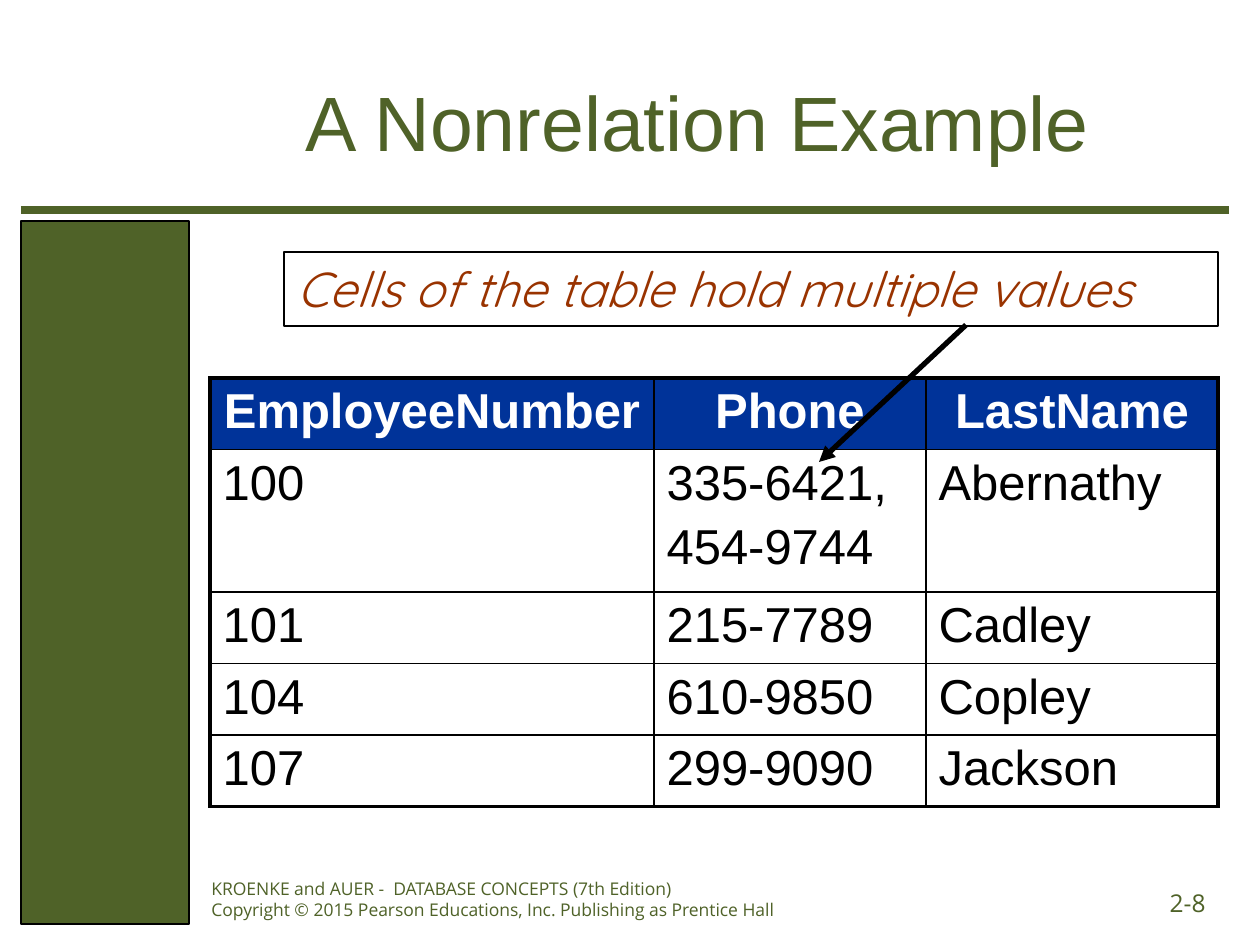
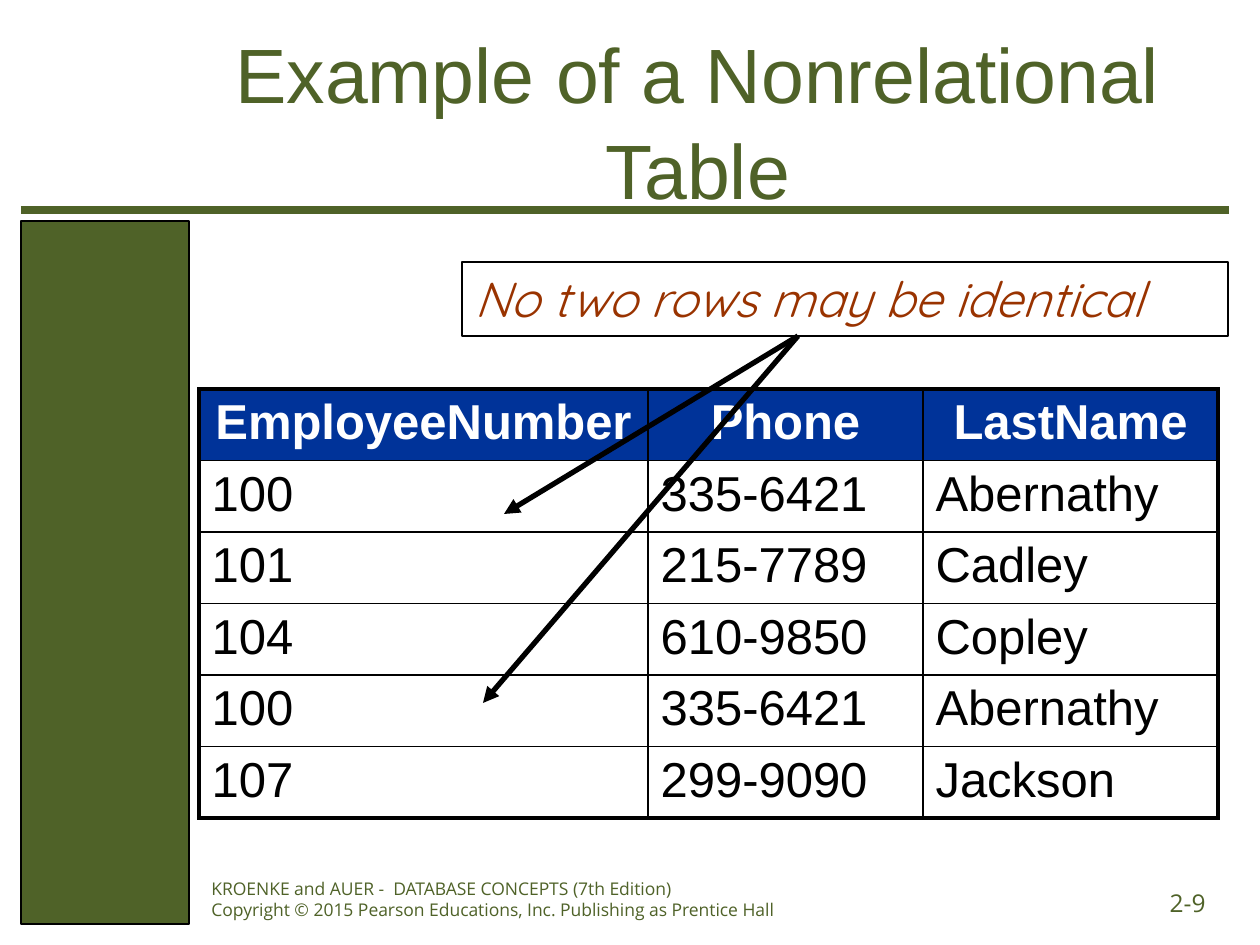
from dataclasses import dataclass

from pptx import Presentation
from pptx.dml.color import RGBColor
from pptx.enum.shapes import MSO_CONNECTOR, MSO_SHAPE
from pptx.enum.text import MSO_ANCHOR, PP_ALIGN
from pptx.oxml.ns import qn
from pptx.util import Emu, Pt
from lxml.etree import SubElement

PX_PER_INCH = 126


@dataclass(frozen=True)
class Theme:
    green: str = "4F6228"
    blue: str = "003399"
    rust: str = "993300"
    black: str = "000000"
    white: str = "FFFFFF"
    main_font: str = "Arial"
    note_font: str = "Quicksand"
    footer_font: str = "Open Sans"
    title_size: int = 44
    body_size: int = 28
    number_size: int = 14
    footer_size: int = 10
    outer_border: float = 2.25
    inner_border: float = 1


THEME = Theme()
FOOTER = ("KROENKE and AUER -  DATABASE CONCEPTS (7th Edition)\v"
          "Copyright © 2015 Pearson Educations, Inc. Publishing as Prentice Hall")
HEADER = ("EmployeeNumber", "Phone", "LastName")
ABERNATHY = ("100", "335-6421", "Abernathy")
CADLEY = ("101", "215-7789", "Cadley")
COPLEY = ("104", "610-9850", "Copley")
JACKSON = ("107", "299-9090", "Jackson")


def px(n):
    return Emu(round(n * 914400 / PX_PER_INCH))


def box_px(box):
    return [px(n) for n in box]


def rgb(color):
    return RGBColor.from_string(color)


def style(p, font, size, color, bold=False, italic=False, align=PP_ALIGN.LEFT):
    p.alignment = align
    p.font.name = font
    p.font.size = Pt(size)
    p.font.color.rgb = rgb(color)
    p.font.bold = bold
    p.font.italic = italic


def add_text(s, box, text, font, size, align=PP_ALIGN.LEFT):
    tf = s.shapes.add_textbox(*box_px(box)).text_frame
    tf.word_wrap = True
    tf.text = text
    style(tf.paragraphs[0], font, size, THEME.green, align=align)
    return tf


def add_rect(s, box, line_width, fill=None):
    sp = s.shapes.add_shape(MSO_SHAPE.RECTANGLE, *box_px(box))
    sp.shadow.inherit = False
    if fill:
        sp.fill.solid()
        sp.fill.fore_color.rgb = rgb(fill)
    else:
        sp.fill.background()
    sp.line.color.rgb = rgb(THEME.black)
    sp.line.width = Pt(line_width)
    return sp


def add_line(s, start, end, color, width):
    line = s.shapes.add_connector(MSO_CONNECTOR.STRAIGHT, *box_px(start + end))
    line.line.color.rgb = rgb(color)
    line.line.width = Pt(width)
    SubElement(line._element.spPr, qn("a:effectLst"))
    return line


def add_arrow(s, start, end):
    arrow = add_line(s, start, end, THEME.black, 3)
    SubElement(arrow.line._get_or_add_ln(), qn("a:tailEnd"), type="triangle")


def add_callout(s, box, text):
    tf = add_rect(s, box, 1.5).text_frame
    tf.word_wrap = True
    tf.vertical_anchor = MSO_ANCHOR.TOP
    tf.text = text
    style(tf.paragraphs[0], THEME.note_font, THEME.body_size, THEME.rust, italic=True)


def set_borders(cell, outer_sides):
    tcPr = cell._tc.get_or_add_tcPr()
    for side in "LRTB":
        width = THEME.outer_border if side in outer_sides else THEME.inner_border
        ln = SubElement(tcPr, qn(f"a:ln{side}"), w=str(Pt(width)))
        SubElement(SubElement(ln, qn("a:solidFill")), qn("a:srgbClr"), val=THEME.black)


def fill_cell(cell, text, is_header):
    cell.text = text
    for i, p in enumerate(cell.text_frame.paragraphs):
        if i:
            p.space_before = Pt(THEME.body_size * 0.2)
        style(p, THEME.main_font, THEME.body_size,
              THEME.white if is_header else THEME.black, bold=is_header,
              align=PP_ALIGN.CENTER if is_header else PP_ALIGN.LEFT)
    if is_header:
        cell.fill.solid()
        cell.fill.fore_color.rgb = rgb(THEME.blue)
    else:
        cell.fill.background()


def add_employee_table(s, left, top, col_widths, employees, height=428):
    """Share the height among rows by how many lines of text each one holds."""
    rows = [HEADER, *employees]
    line_counts = [max(text.count("\n") + 1 for text in row) for row in rows]
    table = s.shapes.add_table(len(rows), len(HEADER), px(left), px(top),
                               px(sum(col_widths)), px(height)).table
    for col, width in zip(table.columns, col_widths):
        col.width = px(width)
    last_row, last_col = len(rows) - 1, len(HEADER) - 1
    for r, row in enumerate(rows):
        table.rows[r].height = px(height * line_counts[r] / sum(line_counts))
        for c, text in enumerate(row):
            cell = table.cell(r, c)
            edges = {"L": c == 0, "R": c == last_col, "T": r == 0, "B": r == last_row}
            set_borders(cell, [side for side, is_outer in edges.items() if is_outer])
            fill_cell(cell, text, is_header=r == 0)


def add_base_slide(prs, title, number):
    """Add a slide with the side band, title, rule, footer and number."""
    s = prs.slides.add_slide(prs.slide_layouts[6])
    add_rect(s, (21, 221, 168, 703), 0.75, THEME.green)
    add_line(s, (21, 210), (1229, 210), THEME.green, 5)
    tf = add_text(s, (199, 40, 998, 158), title, THEME.main_font,
                  THEME.title_size, PP_ALIGN.CENTER)
    tf.vertical_anchor = MSO_ANCHOR.MIDDLE
    tf.paragraphs[0].line_spacing = 1.04
    add_text(s, (199, 872, 714, 55), FOOTER, THEME.footer_font, THEME.footer_size)
    add_text(s, (1081, 882, 137, 44), number, THEME.footer_font,
             THEME.number_size, PP_ALIGN.RIGHT)
    return s


def add_multiple_values_slide(prs):
    s = add_base_slide(prs, "A Nonrelation Example", "2-8")
    two_phones = ("100", "335-6421,\n454-9744", "Abernathy")
    add_employee_table(s, 210, 378, (444, 272, 292),
                       [two_phones, CADLEY, COPLEY, JACKSON])
    add_callout(s, (284, 252, 934, 74), "Cells of the table hold multiple values")
    add_arrow(s, (966, 325), (819, 462))


def add_identical_rows_slide(prs):
    s = add_base_slide(prs, "Example of a Nonrelational Table", "2-9")
    add_employee_table(s, 199, 389, (449, 275, 295),
                       [ABERNATHY, CADLEY, COPLEY, ABERNATHY, JACKSON])
    add_callout(s, (462, 262, 766, 74), "No two rows may be identical")
    for row_end in ((483, 703), (504, 514)):
        add_arrow(s, (798, 336), row_end)


def main():
    prs = Presentation()
    prs.slide_width, prs.slide_height = px(1260), px(945)
    add_multiple_values_slide(prs)
    add_identical_rows_slide(prs)
    prs.save("out.pptx")


if __name__ == "__main__":
    main()
